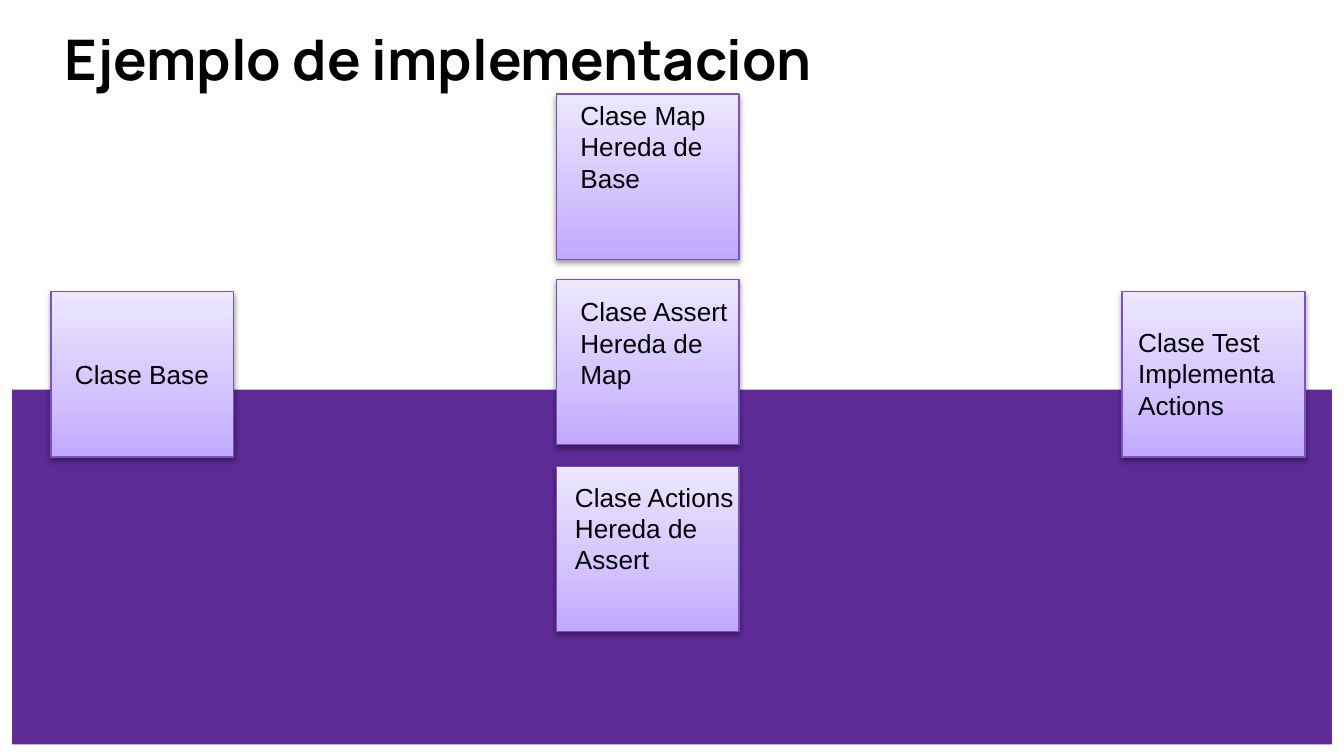
import pptx
import pptx.dml.color
import pptx.enum.shapes
import pptx.enum.text
import pptx.oxml
import pptx.oxml.ns
import pptx.util

Inches = pptx.util.Inches
Pt = pptx.util.Pt
WIDE, HIGH = 1.36, 1.23
STOPS = ((0, "BFA8FF"), (35, "D1C1FF"), (100, "EDE7FF"))
CARDS = (
    (0.38, 2.17, (0.08, 0.45, 1.2, 0.34), ("Clase Base",)),
    (4.14, 0.7, (0.08, -0.01, 1.17, 0.81), ("Clase Map", "Hereda de", "Base")),
    (4.14, 2.08, (0.08, 0.07, 1.31, 0.81), ("Clase Assert", "Hereda de", "Map")),
    (4.14, 3.47, (0.04, 0.06, 1.4, 0.81), ("Clase Actions", "Hereda de", "Assert")),
    (8.35, 2.17, (0.02, 0.21, 1.22, 0.81), ("Clase Test", "Implementa", "Actions")),
)


def tint(code):
    """Return the colour for a hex string."""
    return pptx.dml.color.RGBColor.from_string(code)


def build(text):
    """Return an element from XML in the drawing namespace."""
    tag, rest = text.split(" ", 1)
    return pptx.oxml.parse_xml(f"{tag} {pptx.oxml.ns.nsdecls('a')} {rest}")


def style(line, face, size):
    """Set the font of a paragraph."""
    line.font.name = face
    line.font.size = Pt(size)
    line.font.color.rgb = tint("000000")


def add_rect(slide, left, top, wide, high):
    """Add a rectangle without shadow."""
    rect = slide.shapes.add_shape(
        pptx.enum.shapes.MSO_SHAPE.RECTANGLE,
        Inches(left), Inches(top), Inches(wide), Inches(high))
    rect.shadow.inherit = False
    return rect


def add_band(slide, left, top, wide, high):
    """Add the plain purple band."""
    band = add_rect(slide, left, top, wide, high)
    band.fill.solid()
    band.fill.fore_color.rgb = tint("5E2B97")
    band.line.fill.background()


def add_title(slide, left, top, wide, high):
    """Fill and place the title, and drop the unused subtitle."""
    title = slide.shapes.title
    title.left, title.top = Inches(left), Inches(top)
    title.width, title.height = Inches(wide), Inches(high)
    frame = title.text_frame
    frame.text = "Ejemplo de implementacion"
    frame.auto_size = pptx.enum.text.MSO_AUTO_SIZE.NONE
    frame.vertical_anchor = pptx.enum.text.MSO_ANCHOR.BOTTOM
    frame.margin_left = frame.margin_right = Inches(0.1)
    frame.margin_top = frame.margin_bottom = Inches(0.1)
    line = frame.paragraphs[0]
    line.alignment = pptx.enum.text.PP_ALIGN.LEFT
    style(line, "Manrope", 30)
    line.font.bold = True
    rest = slide.placeholders[1].element
    rest.getparent().remove(rest)


def add_card(slide, left, top):
    """Add a class card with its gradient and soft shadow."""
    card = add_rect(slide, left, top, WIDE, HIGH)
    card.fill.gradient()
    card.fill.gradient_angle = 90
    props = card.element.spPr
    stops = props.find(".//" + pptx.oxml.ns.qn("a:gsLst"))
    for stop in list(stops):
        stops.remove(stop)
    for place, code in STOPS:
        stops.append(build(
            f'<a:gs pos="{place * 1000}"><a:srgbClr val="{code}"/></a:gs>'))
    card.line.color.rgb = tint("7B52C0")
    card.line.width = Pt(0.75)
    props.find(pptx.oxml.ns.qn("a:effectLst")).append(build(
        f'<a:outerShdw blurRad="{Pt(3.1)}" dist="{Pt(1.6)}" dir="5400000" '
        'rotWithShape="0"><a:srgbClr val="000000"><a:alpha val="38000"/>'
        '</a:srgbClr></a:outerShdw>'))


def add_label(slide, left, top, wide, high, lines):
    """Add the text of a card, one paragraph a line."""
    label = slide.shapes.add_textbox(
        Inches(left), Inches(top), Inches(wide), Inches(high))
    frame = label.text_frame
    frame.text = "\n".join(lines)
    frame.word_wrap = False
    frame.auto_size = pptx.enum.text.MSO_AUTO_SIZE.SHAPE_TO_FIT_TEXT
    for line in frame.paragraphs:
        style(line, "Arial", 14)


def main():
    """Build and save the slide."""
    deck = pptx.Presentation()
    deck.slide_width = Inches(10)
    deck.slide_height = deck.slide_width * 9 // 16
    slide = deck.slides.add_slide(deck.slide_layouts[0])
    add_band(slide, 0.09, 2.9, 9.82, 2.64)
    add_title(slide, 0.38, 0.12, 8.08, 0.66)
    for left, top, _, _ in CARDS:
        add_card(slide, left, top)
    for left, top, (right, down, wide, high), lines in CARDS:
        add_label(slide, left + right, top + down, wide, high, lines)
    deck.save("out.pptx")


if __name__ == "__main__":
    main()
